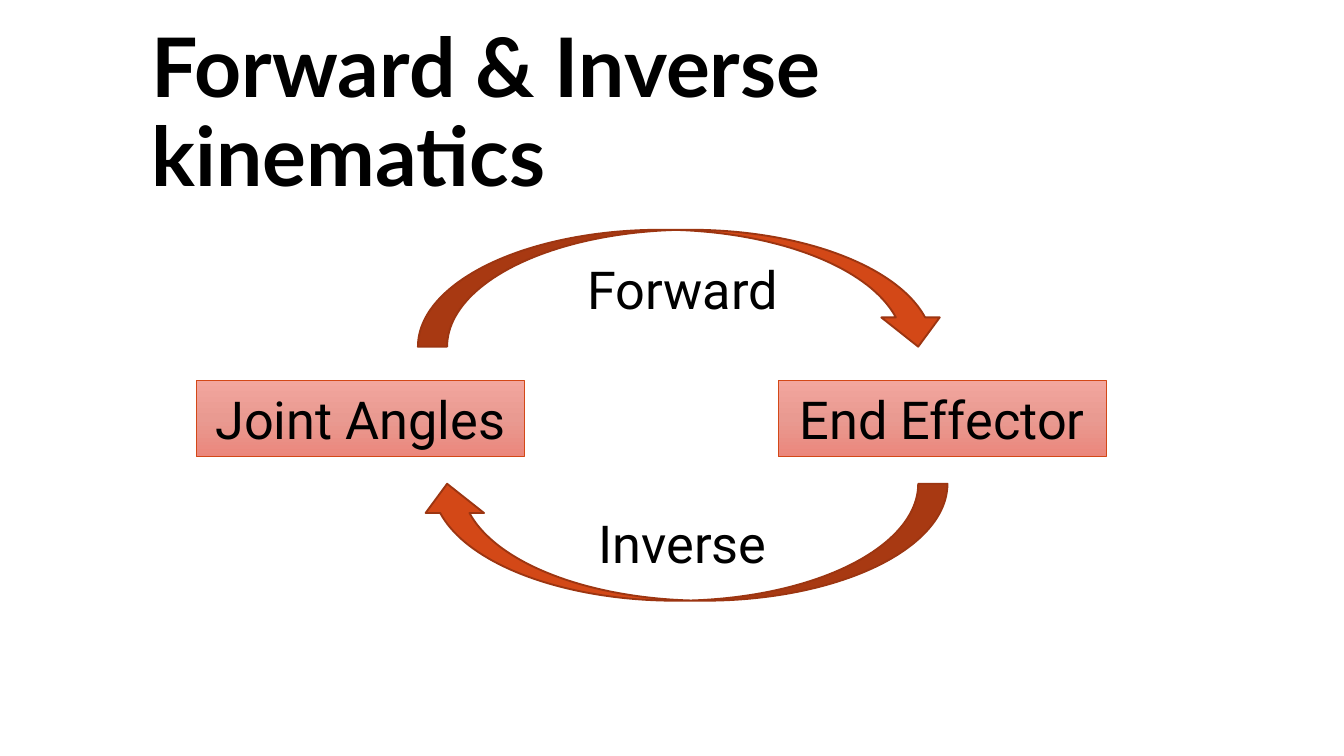
from copy import deepcopy
from typing import NamedTuple

from pptx import Presentation
from pptx.dml.color import RGBColor
from pptx.enum.shapes import MSO_SHAPE
from pptx.enum.text import MSO_ANCHOR, MSO_AUTO_SIZE, PP_ALIGN
from pptx.oxml.ns import qn
from pptx.util import Inches, Pt

BLACK = RGBColor(0x00, 0x00, 0x00)
RUST = RGBColor(0xD3, 0x48, 0x17)
BROWN = RGBColor(0x9C, 0x35, 0x11)
SHADES = (
    RGBColor(0xF2, 0xA6, 0x9E),
    RGBColor(0xE9, 0x9A, 0x91),
    RGBColor(0xEB, 0x87, 0x7C),
)


class Box(NamedTuple):
    text: str
    left: float


class Arrow(NamedTuple):
    text: str
    top: float
    kind: MSO_SHAPE
    flip: bool


BOXES = (Box("Joint Angles", 1.46), Box("End Effector", 5.79))
ARROWS = (
    Arrow("Forward", 1.71, MSO_SHAPE.CURVED_DOWN_ARROW, False),
    Arrow("Inverse", 3.6, MSO_SHAPE.CURVED_UP_ARROW, True),
)


def write(shape, text: str, *, size=28, font="Roboto", bold=False,
          align=PP_ALIGN.CENTER, anchor=MSO_ANCHOR.MIDDLE,
          fit=MSO_AUTO_SIZE.NONE, space=1.0) -> None:
    frame = shape.text_frame
    frame.word_wrap = True
    frame.auto_size = fit
    frame.vertical_anchor = anchor
    para = frame.paragraphs[0]
    para.alignment = align
    para.line_spacing = space
    run = para.add_run()
    run.text = text
    run.font.size = Pt(size)
    run.font.name = font
    run.font.bold = bold
    run.font.color.rgb = BLACK


def shade(shape) -> None:
    """Fill from top to bottom with evenly spaced shades."""
    fill = shape.fill
    fill.gradient()
    fill.gradient_angle = 270
    stops = shape.element.spPr.find(qn("a:gradFill")).find(qn("a:gsLst"))
    stops.insert(1, deepcopy(stops[0]))
    for i, (stop, color) in enumerate(zip(fill.gradient_stops, SHADES)):
        stop.position = i / (len(SHADES) - 1)
        stop.color.rgb = color


def add_box(slide, box: Box) -> None:
    shape = slide.shapes.add_shape(
        MSO_SHAPE.RECTANGLE, Inches(box.left), Inches(2.83),
        Inches(2.44), Inches(0.57))
    shape.shadow.inherit = False
    shade(shape)
    shape.line.color.rgb = RUST
    shape.line.width = Pt(0.5)
    write(shape, box.text, anchor=MSO_ANCHOR.TOP,
          fit=MSO_AUTO_SIZE.SHAPE_TO_FIT_TEXT)


def add_arrow(slide, arrow: Arrow) -> None:
    shape = slide.shapes.add_shape(
        arrow.kind, Inches(3.11), Inches(arrow.top),
        Inches(3.94), Inches(0.87))
    shape.shadow.inherit = False
    shape.fill.solid()
    shape.fill.fore_color.rgb = RUST
    shape.line.color.rgb = BROWN
    shape.line.width = Pt(1)
    if arrow.flip:
        shape.element.spPr.get_or_add_xfrm().set("flipH", "1")
    write(shape, arrow.text)


def main() -> None:
    # Widescreen, 16 to 9
    deck = Presentation()
    deck.slide_width = Inches(10)
    deck.slide_height = Inches(10 * 9 / 16)
    slide = deck.slides.add_slide(deck.slide_layouts[5])

    # Title
    title = slide.shapes.title
    title.left, title.top = Inches(1.03), Inches(0.41)
    title.width, title.height = Inches(7.69), Inches(0.9)
    write(title, "Forward & Inverse kinematics", size=44, font="Lato",
          bold=True, align=PP_ALIGN.LEFT, space=0.9)

    # The two states
    for box in BOXES:
        add_box(slide, box)

    # The cycle between them
    for arrow in ARROWS:
        add_arrow(slide, arrow)

    deck.save("out.pptx")


if __name__ == "__main__":
    main()
